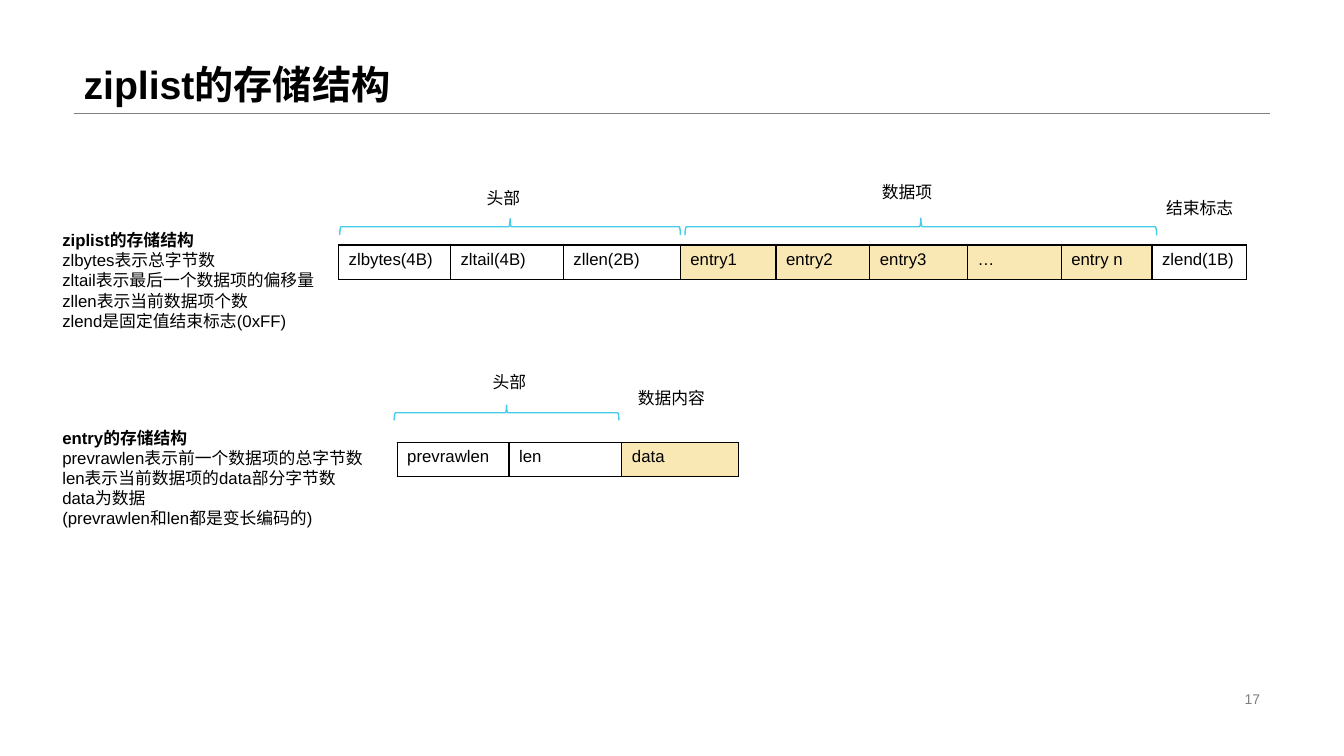
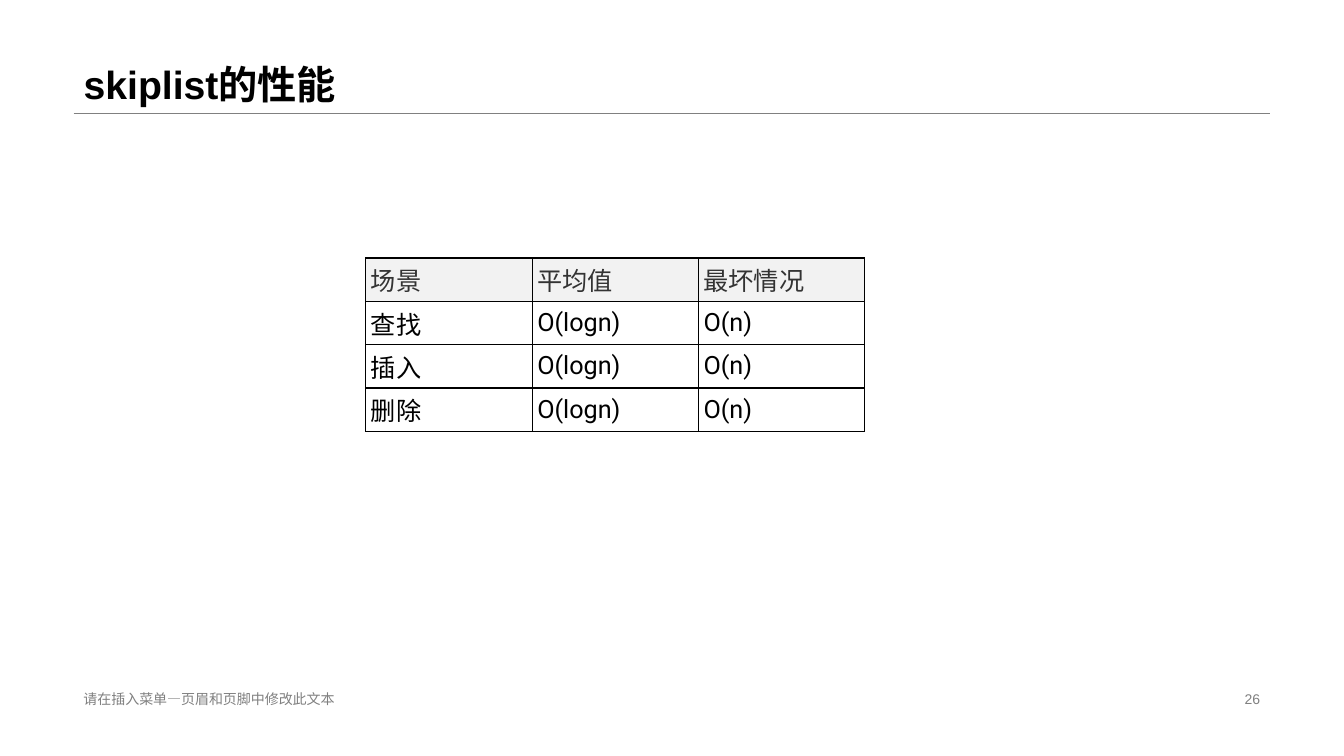
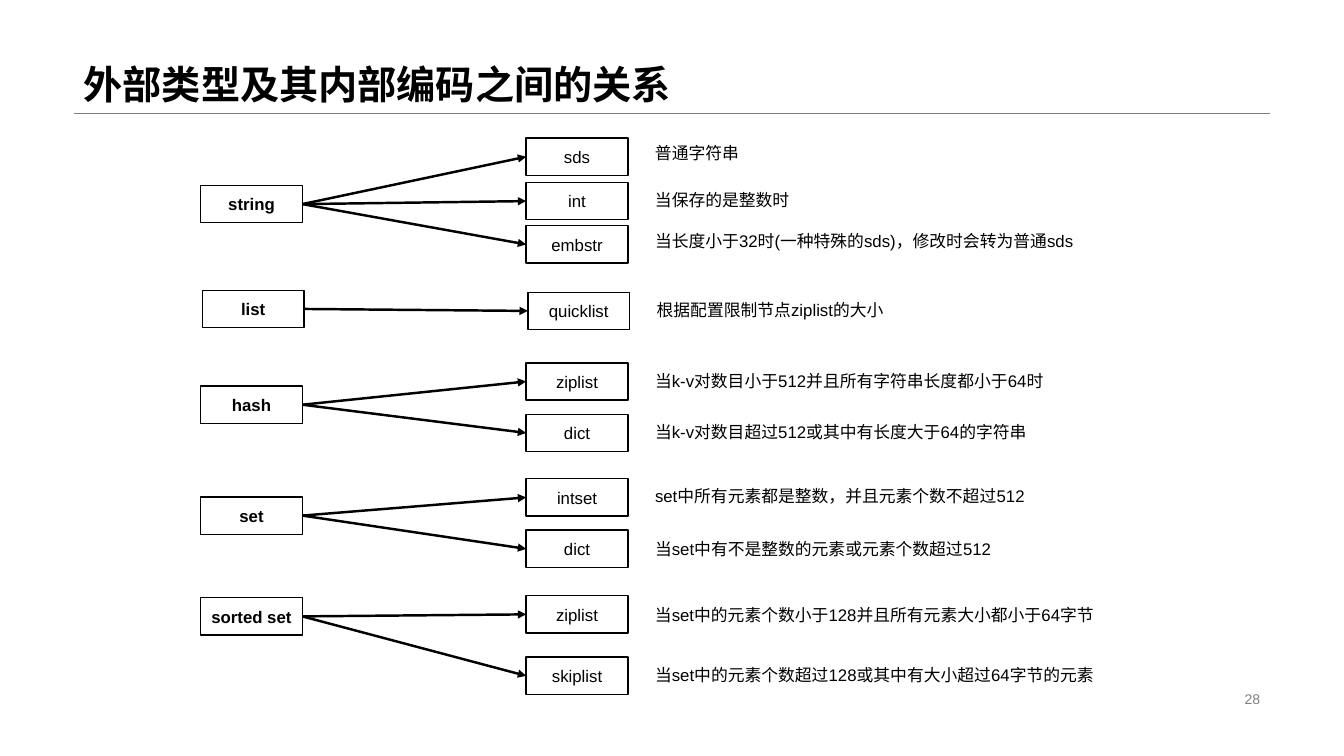
from lxml.etree import SubElement
from pptx import Presentation
from pptx.dml.color import RGBColor
from pptx.enum.shapes import MSO_CONNECTOR, MSO_SHAPE
from pptx.enum.text import MSO_ANCHOR as ANCHOR, MSO_AUTO_SIZE, PP_ALIGN as ALIGN
from pptx.oxml.ns import qn
from pptx.util import Emu, Inches, Pt

# Shared look
BLACK = RGBColor(0x00, 0x00, 0x00)
WHITE = RGBColor(0xFF, 0xFF, 0xFF)
GREY = RGBColor(0x80, 0x80, 0x80)
DARK = RGBColor(0x33, 0x33, 0x33)
PALE = RGBColor(0xF2, 0xF2, 0xF2)
SAND = RGBColor(0xF9, 0xE7, 0xB4)
CYAN = RGBColor(0x44, 0xCC, 0xEA)
FONT = "Arial"

# The page is a grid of 80 columns by 45 rows of square cells
COLUMNS, ROWS = 80, 45
CELL = Inches(1 / 6)
LEFT, RIGHT, RULE_ROW = 4.38, 75.6, 6.72
FOOTER_ROW, FOOTER_HEIGHT = 40.92, 1.38
LINE_HEIGHT = 1.8


def grid(*counts):
    """Turn counts of grid cells into lengths."""
    return [Emu(round(count * CELL)) for count in counts]


def write(frame, lines, size=12, color=BLACK, font=FONT, bold_lines=0,
          align=ALIGN.LEFT, anchor=ANCHOR.TOP):
    """Fill a text frame, one paragraph a line, the first ones bold."""
    frame.word_wrap = True
    frame.vertical_anchor = anchor
    for index, line in enumerate(lines):
        para = frame.paragraphs[0] if index == 0 else frame.add_paragraph()
        para.alignment = align
        span = para.add_run()
        span.text = line
        span.font.name, span.font.size = font, Pt(size)
        span.font.bold = index < bold_lines
        span.font.color.rgb = color


deck = Presentation()
deck.slide_width, deck.slide_height = grid(COLUMNS, ROWS)

# Title, rule, footer and number of every page
for title, number, footer in [
    ("ziplist的存储结构", "17", None),
    ("skiplist的性能", "26", "请在插入菜单—页眉和页脚中修改此文本"),
    ("外部类型及其内部编码之间的关系", "28", None),
]:
    page = deck.slides.add_slide(deck.slide_layouts[5])
    heading = page.shapes.title
    heading.left, heading.top, heading.width, heading.height = grid(
        LEFT, 0, RIGHT - LEFT, RULE_ROW)
    write(heading.text_frame, [title], 28, bold_lines=1, anchor=ANCHOR.BOTTOM)
    heading.text_frame.auto_size = MSO_AUTO_SIZE.NONE
    heading.text_frame.paragraphs[0].line_spacing = 0.9

    rule = page.shapes.add_connector(
        MSO_CONNECTOR.STRAIGHT, *grid(LEFT, RULE_ROW, RIGHT, RULE_ROW))
    rule.line.color.rgb, rule.line.width = GREY, Pt(0.25)

    for text, left, width, align in [(footer, LEFT, 27.18, ALIGN.LEFT),
                                     (number, RIGHT - 19.08, 19.08, ALIGN.RIGHT)]:
        if text:
            box = page.shapes.add_textbox(*grid(left, FOOTER_ROW, width, FOOTER_HEIGHT))
            write(box.text_frame, [text], 10, GREY, align=align, anchor=ANCHOR.MIDDLE)

storage_page, speed_page, encoding_page = deck.slides

# Tables: memory layouts on the first page, costs on the second
HEADER_WIDTHS = [6.66, 6.72, 6.96]
ENTRY_WIDTHS = [5.7, 5.58, 5.82, 5.58, 5.4]
ziplist_fields = ["zlbytes(4B)", "zltail(4B)", "zllen(2B)",
                  "entry1", "entry2", "entry3", "…", "entry n", "zlend(1B)"]
costs = [["场景", "平均值", "最坏情况"]]
costs += [[action, "O(logn)", "O(n)"] for action in ("查找", "插入", "删除")]
field_style = dict(size=12)
cost_style = dict(size=18, font="Roboto", anchor=ANCHOR.MIDDLE)

for page, left, top, widths, height, rows, style, tinted, tint in [
    (storage_page, 20.16, 14.58, HEADER_WIDTHS + ENTRY_WIDTHS + [5.64], 2.04,
     [ziplist_fields], field_style, range(3, 8), SAND),
    (storage_page, 23.64, 26.34, HEADER_WIDTHS, 2.04,
     [["prevrawlen", "len", "data"]], field_style, [2], SAND),
    (speed_page, 21.78, 15.36, [9.9] * 3, 2.58, costs, cost_style, range(3), PALE),
]:
    table = page.shapes.add_table(
        len(rows), len(widths),
        *grid(left, top, sum(widths), height * len(rows))).table
    table.first_row = table.horz_banding = False
    for column, width in zip(table.columns, grid(*widths)):
        column.width = width
    for row_index, row in enumerate(rows):
        table.rows[row_index].height = grid(height)[0]
        for column_index, text in enumerate(row):
            cell = table.cell(row_index, column_index)
            marked = row_index == 0 and column_index in tinted
            write(cell.text_frame, [text],
                  color=DARK if marked and tint == PALE else BLACK, **style)
            if style is cost_style:
                cell.vertical_anchor = ANCHOR.MIDDLE
                cell.margin_left = cell.margin_right = Inches(0.05)
                cell.margin_top = cell.margin_bottom = Inches(0.03)
            # Borders stand before the fill in the cell's properties
            properties = cell._tc.get_or_add_tcPr()
            for side in ("a:lnL", "a:lnR", "a:lnT", "a:lnB"):
                border = SubElement(properties, qn(side), w=str(Pt(1)))
                paint = SubElement(border, qn("a:solidFill"))
                SubElement(paint, qn("a:srgbClr"), val=str(BLACK))
            cell.fill.solid()
            cell.fill.fore_color.rgb = tint if marked else WHITE

# Storage page: explanations at the left
for top, lines in [
    (13.38, ["ziplist的存储结构", "zlbytes表示总字节数", "zltail表示最后一个数据项的偏移量",
             "zllen表示当前数据项个数", "zlend是固定值结束标志(0xFF)"]),
    (25.14, ["entry的存储结构", "prevrawlen表示前一个数据项的总字节数",
             "len表示当前数据项的data部分字节数", "data为数据",
             "(prevrawlen和len都是变长编码的)"]),
]:
    box = storage_page.shapes.add_textbox(*grid(3.12, top, 19.98, 6.66))
    write(box.text_frame, lines, bold_lines=1)

# Storage page: braces, turned to lie over the tables
for left, top, length, depth in [(20.22, 13.02, 20.28, 0.96),
                                 (40.77, 12.99, 28.08, 1.02),
                                 (23.46, 24.12, 13.38, 0.9)]:
    turn = (length - depth) / 2
    brace = storage_page.shapes.add_shape(
        MSO_SHAPE.LEFT_BRACE, *grid(left + turn, top - turn, depth, length))
    brace.rotation = 90
    brace.shadow.inherit = False
    brace.fill.background()
    brace.line.color.rgb, brace.line.width = CYAN, Pt(1)

# Storage page: names of the parts
for text, left, top, width in [("头部", 28.38, 10.86, 5.76),
                               ("数据项", 51.9, 10.5, 5.76),
                               ("结束标志", 68.82, 11.46, 5.76),
                               ("头部", 28.74, 21.84, 3.78),
                               ("数据内容", 37.38, 22.8, 5.76)]:
    box = storage_page.shapes.add_textbox(*grid(left, top, width, LINE_HEIGHT))
    write(box.text_frame, [text])

# Encoding page: each type, its encodings and when they apply
TYPE_LEFT, ENCODING_LEFT, RULE_LEFT = 11.94, 31.32, 38.4
BOX_WIDTH, BOX_HEIGHT = 6.06, 2.22
for type_name, type_top, shift, encodings in [
    ("string", 11.04, 0, [
        ("sds", 8.22, "普通字符串", 8.22, 12.96),
        ("int", 10.86, "当保存的是整数时", 10.98, 12.96),
        ("embstr", 13.44, "当长度小于32时(一种特殊的sds)，修改时会转为普通sds", 13.44, 28.14)]),
    ("list", 17.28, 0.1, [
        ("quicklist", 17.4, "根据配置限制节点ziplist的大小", 17.52, 25.74)]),
    ("hash", 22.98, 0, [
        ("ziplist", 21.6, "当k-v对数目小于512并且所有字符串长度都小于64时", 21.78, 25.74),
        ("dict", 24.66, "当k-v对数目超过512或其中有长度大于64的字符串", 24.78, 25.74)]),
    ("set", 29.58, 0, [
        ("intset", 28.5, "set中所有元素都是整数，并且元素个数不超过512", 28.62, 25.74),
        ("dict", 31.56, "当set中有不是整数的元素或元素个数超过512", 31.8, 25.74)]),
    ("sorted set", 35.58, 0, [
        ("ziplist", 35.46, "当set中的元素个数小于128并且所有元素大小都小于64字节", 35.7, 27.78),
        ("skiplist", 39.12, "当set中的元素个数超过128或其中有大小超过64字节的元素", 39.3, 28.14)]),
]:
    boxes = []
    names = [(type_name, TYPE_LEFT, type_top)]
    names += [(name, ENCODING_LEFT, top) for name, top, *_ in encodings]
    for index, (name, left, top) in enumerate(names):
        box = encoding_page.shapes.add_shape(
            MSO_SHAPE.FLOWCHART_PROCESS,
            *grid(left + shift, top, BOX_WIDTH, BOX_HEIGHT))
        box.shadow.inherit = False
        box.fill.solid()
        box.fill.fore_color.rgb = WHITE
        box.line.color.rgb, box.line.width = BLACK, Pt(1)
        box.text_frame.margin_left = box.text_frame.margin_right = Inches(0.05)
        write(box.text_frame, [name], bold_lines=int(index == 0),
              align=ALIGN.CENTER, anchor=ANCHOR.MIDDLE)
        boxes.append(box)

    type_box, *encoding_boxes = boxes
    for encoding_box in encoding_boxes:
        arrow = encoding_page.shapes.add_connector(MSO_CONNECTOR.STRAIGHT, 0, 0, 0, 0)
        arrow.begin_connect(type_box, 3)
        arrow.end_connect(encoding_box, 1)
        arrow.line.color.rgb, arrow.line.width = BLACK, Pt(1.75)
        SubElement(arrow.element.spPr.find(qn("a:ln")), qn("a:tailEnd"), type="triangle")

    for _, _, condition, top, width in encodings:
        box = encoding_page.shapes.add_textbox(
            *grid(RULE_LEFT + shift, top, width, LINE_HEIGHT))
        write(box.text_frame, [condition])

# No shadow under any line
for page in deck.slides:
    for line in page.element.iter(qn("p:cxnSp")):
        SubElement(line.spPr, qn("a:effectLst"))

deck.save("out.pptx")
